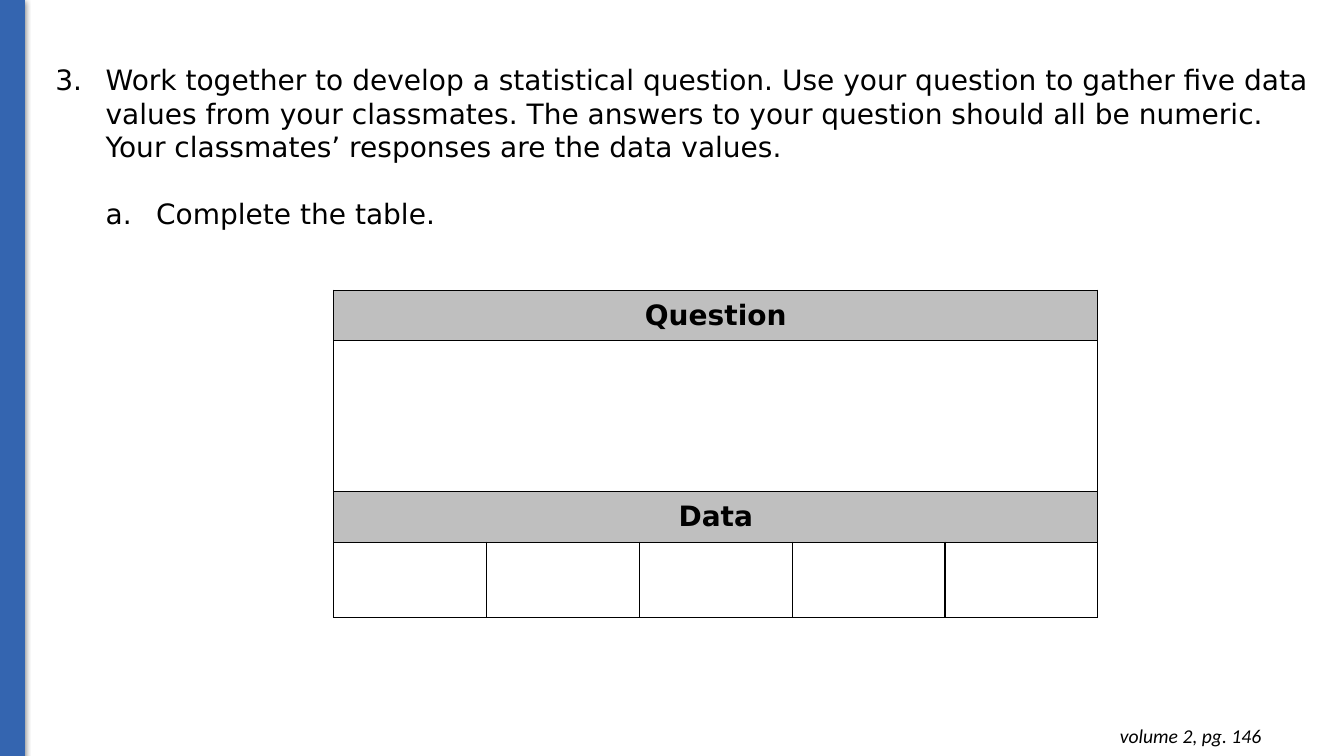
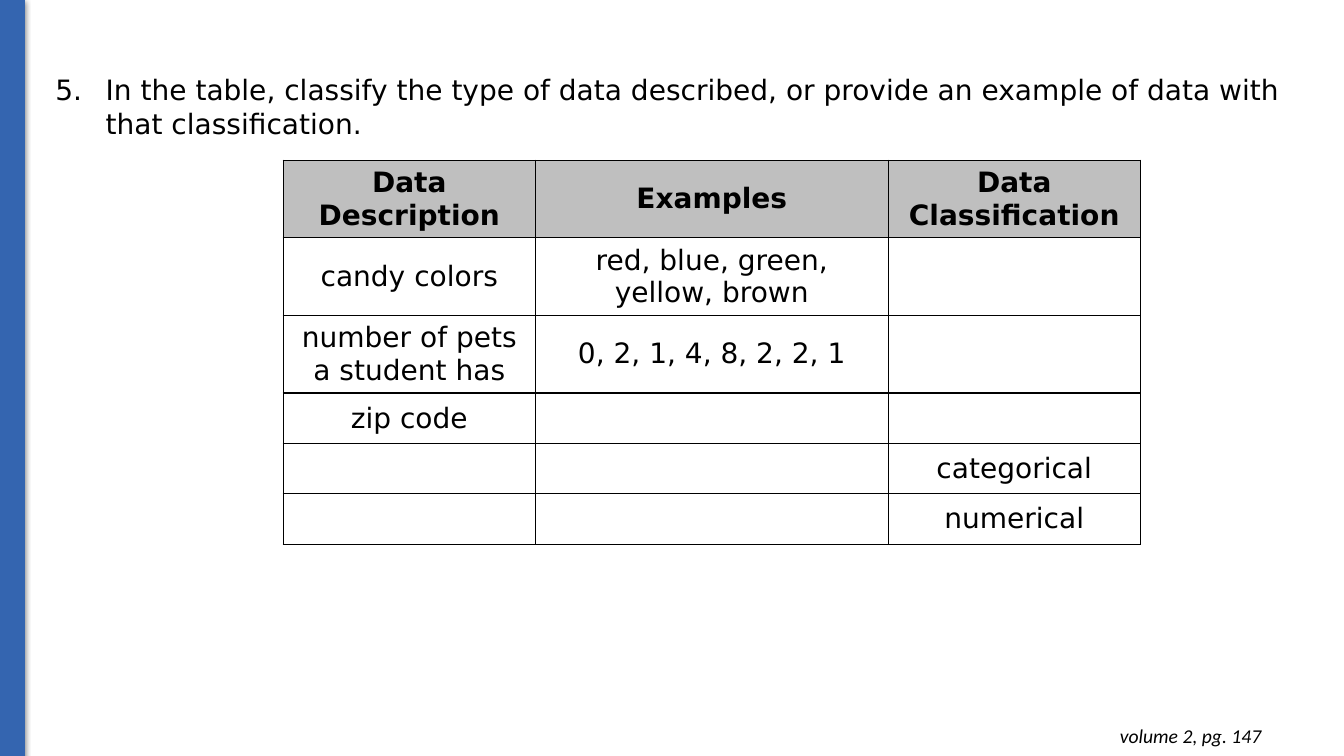
from dataclasses import dataclass

import lxml.etree
import pptx
import pptx.dml.color
import pptx.enum.shapes
import pptx.enum.text
import pptx.oxml.ns
import pptx.util

Inches = pptx.util.Inches
Pt = pptx.util.Pt
RGB = pptx.dml.color.RGBColor
Align = pptx.enum.text.PP_ALIGN
Anchor = pptx.enum.text.MSO_ANCHOR


# Theme and content types
@dataclass(frozen=True)
class Theme:
    ink: str = "000000"
    band: str = "3465B0"
    head: str = "BFBFBF"
    font: str = "DejaVu Sans"
    note: str = "Calibri"
    body: int = 20
    small: int = 14
    rule: float = 1.0


THEME = Theme()


@dataclass(frozen=True)
class Item:
    text: str
    style: str
    start: int = 1
    level: int = 1
    before: int = 0


@dataclass(frozen=True)
class Grid:
    left: float
    top: float
    cols: tuple[float, ...]
    rows: tuple[float, ...]
    cells: tuple[tuple[str, ...], ...]
    heads: tuple[int, ...]
    spans: tuple[int, ...] = ()


@dataclass(frozen=True)
class Page:
    top: float
    width: float
    height: float
    items: tuple[Item, ...]
    grid: Grid
    number: int


# Helpers
def add_tag(parent, tag: str, **attrs):
    """Append a DrawingML child element."""
    names = {key: str(value) for key, value in attrs.items()}
    return lxml.etree.SubElement(parent, pptx.oxml.ns.qn(tag), names)


def put_text(para, text: str, *, size: int = THEME.body, font: str = THEME.font,
             color: str = THEME.ink, bold: bool = False, slant: bool = False,
             align=Align.LEFT, before: int = 0) -> None:
    para.alignment = align
    if before:
        para.space_before = Pt(before)
    run = para.add_run()
    run.text = text
    run.font.name = font
    run.font.size = Pt(size)
    run.font.bold = bold
    run.font.italic = slant
    run.font.color.rgb = RGB.from_string(color)


def add_box(slide, left: float, top: float, width: float, height: float):
    box = slide.shapes.add_textbox(Inches(left), Inches(top),
                                   Inches(width), Inches(height))
    box.text_frame.word_wrap = True
    return box.text_frame


# Shared parts
def add_band(slide) -> None:
    band = slide.shapes.add_shape(pptx.enum.shapes.MSO_SHAPE.RECTANGLE,
                                  0, 0, Inches(0.24), Inches(7.51))
    color = RGB.from_string(THEME.band)
    band.fill.solid()
    band.fill.fore_color.rgb = color
    band.line.color.rgb = color
    band.line.width = Pt(0.75)
    band.shadow.inherit = False
    effect = band._element.spPr.find(pptx.oxml.ns.qn("a:effectLst"))
    shade = add_tag(effect, "a:outerShdw", blurRad=Pt(4.5), dist=Pt(1.5),
                    dir=90 * 60000, rotWithShape=0)
    tint = add_tag(shade, "a:srgbClr", val=THEME.ink)
    add_tag(tint, "a:alpha", val=50000)


def add_foot(slide, number: int) -> None:
    frame = add_box(slide, 9.73, 7.08, 2.88, 0.44)
    frame.margin_top = frame.margin_bottom = Inches(0.1)
    put_text(frame.paragraphs[0], f"volume 2, pg. {number}", size=THEME.small,
             font=THEME.note, slant=True, align=Align.RIGHT)


# Numbered prompt
def add_list(slide, page: Page) -> None:
    frame = add_box(slide, 0.45, page.top, page.width, page.height)
    for index, item in enumerate(page.items):
        para = frame.add_paragraph() if index else frame.paragraphs[0]
        props = para._p.get_or_add_pPr()
        props.set("marL", str(Inches(0.5 * item.level)))
        props.set("indent", str(Inches(-0.5)))
        tint = add_tag(props, "a:buClr")
        add_tag(tint, "a:srgbClr", val=THEME.ink)
        add_tag(props, "a:buFont", typeface=THEME.font)
        add_tag(props, "a:buAutoNum", type=item.style, startAt=item.start)
        put_text(para, item.text, before=item.before)


# Table
def style_cell(cell, head: bool) -> None:
    props = cell._tc.get_or_add_tcPr()
    for side in "LRTB":
        line = add_tag(props, f"a:ln{side}", w=Pt(THEME.rule))
        fill = add_tag(line, "a:solidFill")
        add_tag(fill, "a:srgbClr", val=THEME.ink)
    cell.vertical_anchor = Anchor.MIDDLE
    if head:
        cell.fill.solid()
        cell.fill.fore_color.rgb = RGB.from_string(THEME.head)
    else:
        cell.fill.background()


def add_grid(slide, grid: Grid) -> None:
    table = slide.shapes.add_table(
        len(grid.rows), len(grid.cols), Inches(grid.left), Inches(grid.top),
        Inches(sum(grid.cols)), Inches(sum(grid.rows))).table
    table.first_row = table.horz_banding = False
    for col, width in zip(table.columns, grid.cols):
        col.width = Inches(width)
    for row, height in zip(table.rows, grid.rows):
        row.height = Inches(height)
    last = len(grid.cols) - 1
    for row in grid.spans:
        table.cell(row, 0).merge(table.cell(row, last))
    for row, texts in enumerate(grid.cells):
        head = row in grid.heads
        for col in range(last + 1):
            style_cell(table.cell(row, col), head)
        for col, text in enumerate(texts):
            if text:
                para = table.cell(row, col).text_frame.paragraphs[0]
                put_text(para, text, bold=head, align=Align.CENTER)


# Content
PAGES = (
    Page(
        top=0.57, width=12.74, height=1.78, number=146,
        items=(
            Item("Work together to develop a statistical question. Use your "
                 "question to gather five data values from your classmates. "
                 "The answers to your question should all be numeric. Your "
                 "classmates’ responses are the data values.",
                 "arabicPeriod", start=3),
            Item("Complete the table.", "alphaLcPeriod", level=2, before=24),
        ),
        grid=Grid(3.31, 2.88, (7.58 / 5,) * 5, (0.5, 1.5, 0.5, 0.75),
                  (("Question",), (), ("Data",), ()),
                  heads=(0, 2), spans=(0, 1, 2)),
    ),
    Page(
        top=0.67, width=12.56, height=0.77, number=147,
        items=(
            Item("In the table, classify the type of data described, or "
                 "provide an example of data with that classification.",
                 "arabicPeriod", start=5),
        ),
        grid=Grid(2.81, 1.59, (2.5, 3.5, 2.5), (0.77,) * 3 + (0.5,) * 3,
                  (("Data Description", "Examples", "Data Classification"),
                   ("candy colors", "red, blue, green, yellow, brown"),
                   ("number of pets a student has", "0, 2, 1, 4, 8, 2, 2, 1"),
                   ("zip code",),
                   ("", "", "categorical"),
                   ("", "", "numerical")),
                  heads=(0,)),
    ),
)


def main() -> None:
    deck = pptx.Presentation()
    deck.slide_width = Inches(13.33)
    deck.slide_height = Inches(7.5)
    blank = deck.slide_layouts[6]
    for page in PAGES:
        slide = deck.slides.add_slide(blank)
        add_band(slide)
        add_list(slide, page)
        add_grid(slide, page.grid)
        add_foot(slide, page.number)
    deck.save("out.pptx")


if __name__ == "__main__":
    main()
